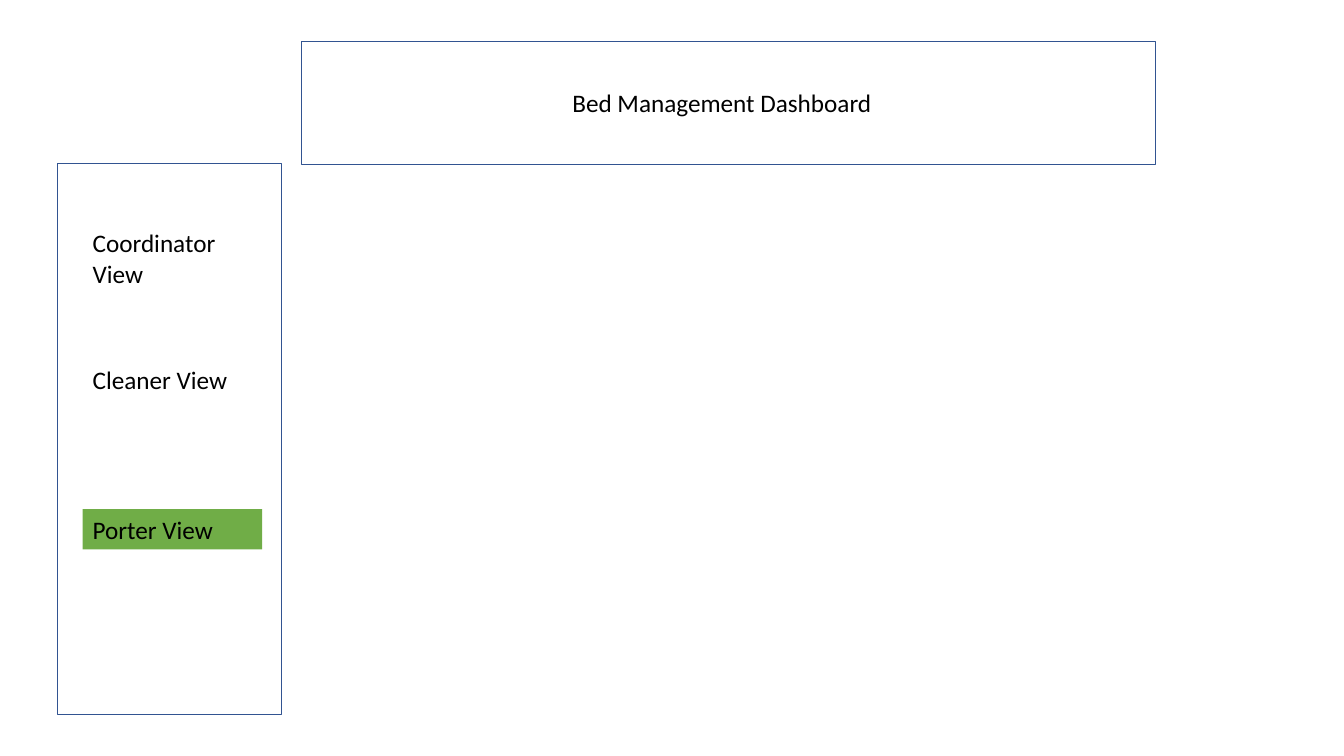
from pptx import Presentation
from pptx import util as u
from pptx.dml.color import RGBColor
from pptx.enum import shapes, text

BLACK = RGBColor(0x00, 0x00, 0x00)
BLUE = RGBColor(0x32, 0x54, 0x91)
GREEN = RGBColor(0x70, 0xAD, 0x47)

TITLE = "Bed Management Dashboard"
TITLE_AREA = (2.99, 0.41, 8.47, 1.22)
SIDEBAR_AREA = (0.57, 1.62, 2.22, 5.47)
MENU_LEFT, MENU_WIDTH = 0.82, 1.78
# label, top, height, fill
MENU = [
    ("Coordinator View", 2.21, 0.71, None),
    ("Cleaner View", 3.57, 0.4, None),
    ("Porter View", 5.05, 0.4, GREEN),
]


def inches(area):
    return [u.Inches(value) for value in area]


def outline(box):
    box.line.color.rgb = BLUE
    box.line.width = u.Pt(1)


def write(box, words, align=text.PP_ALIGN.LEFT, anchor=text.MSO_ANCHOR.TOP,
          size=18, right=0.1, fit=text.MSO_AUTO_SIZE.NONE):
    frame = box.text_frame
    frame.word_wrap = True
    frame.auto_size = fit
    frame.vertical_anchor = anchor
    frame.margin_right = u.Inches(right)
    para = frame.paragraphs[0]
    para.alignment = align
    span = para.add_run()
    span.text = words
    span.font.name = "Calibri"
    span.font.size = u.Pt(size)
    span.font.color.rgb = BLACK


def main():
    deck = Presentation()
    deck.slide_width, deck.slide_height = inches((13.33, 7.5))
    page = deck.slides.add_slide(deck.slide_layouts[5])

    title = page.shapes.title
    title.left, title.top, title.width, title.height = inches(TITLE_AREA)
    outline(title)
    write(title, TITLE, align=text.PP_ALIGN.CENTER,
          anchor=text.MSO_ANCHOR.MIDDLE, right=0.23)

    sidebar = page.shapes.add_shape(shapes.MSO_SHAPE.RECTANGLE, *inches(SIDEBAR_AREA))
    sidebar.shadow.inherit = False
    sidebar.fill.background()
    outline(sidebar)

    for label, top, height, fill in MENU:
        item = page.shapes.add_textbox(*inches((MENU_LEFT, top, MENU_WIDTH, height)))
        if fill is not None:
            item.fill.solid()
            item.fill.fore_color.rgb = fill
        write(item, label, fit=text.MSO_AUTO_SIZE.SHAPE_TO_FIT_TEXT)

    deck.save("out.pptx")


if __name__ == "__main__":
    main()
